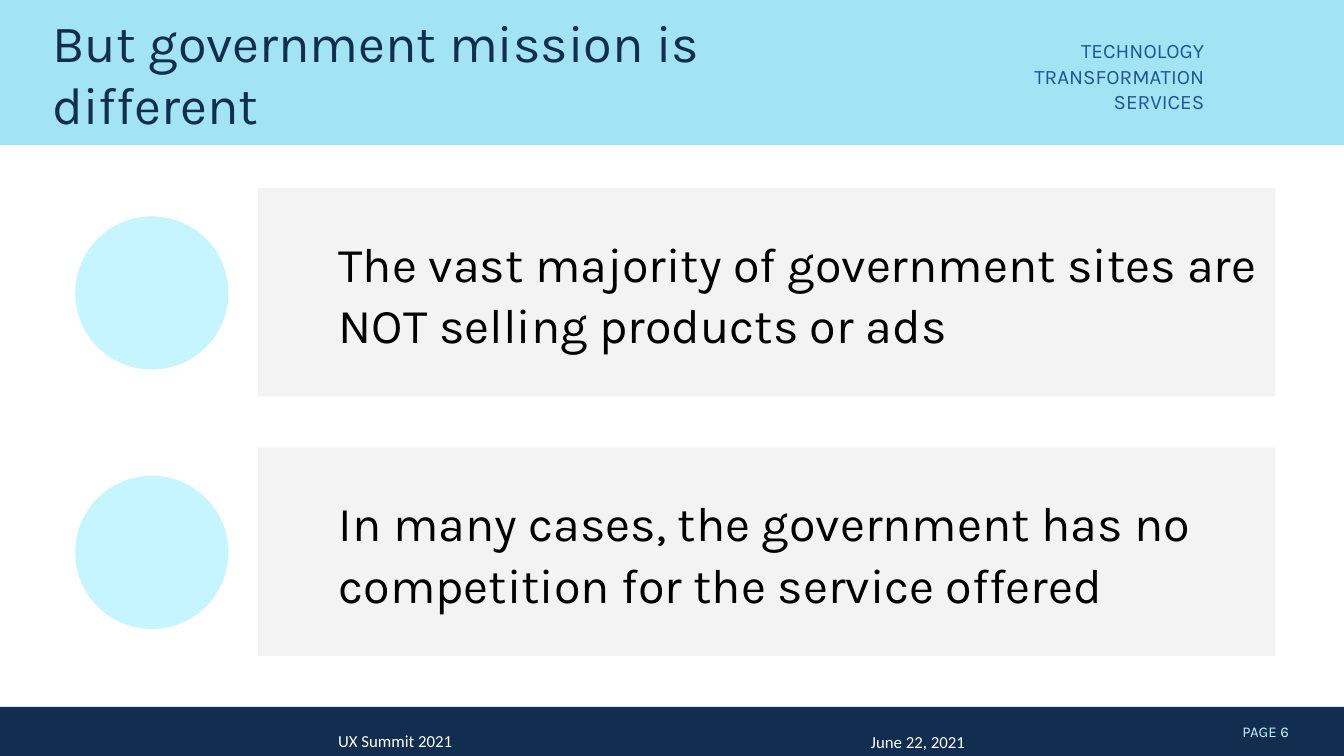
from lxml import etree
from pptx import Presentation
from pptx.dml.color import RGBColor
from pptx.enum.shapes import MSO_SHAPE
from pptx.enum.text import MSO_ANCHOR, MSO_AUTO_SIZE, PP_ALIGN
from pptx.oxml.ns import qn
from pptx.util import Inches, Pt

RECTANGLE, OVAL = MSO_SHAPE.RECTANGLE, MSO_SHAPE.OVAL
LEFT, CENTER, RIGHT = PP_ALIGN.LEFT, PP_ALIGN.CENTER, PP_ALIGN.RIGHT
MIDDLE = MSO_ANCHOR.MIDDLE
NO_AUTOFIT = MSO_AUTO_SIZE.NONE

SKY = RGBColor(0x80, 0xD9, 0xF1)
PALE_BLUE = RGBColor(0xC7, 0xF5, 0xFF)
NAVY = RGBColor(0x11, 0x2E, 0x51)
TITLE_NAVY = RGBColor(0x11, 0x2E, 0x50)
BLUE = RGBColor(0x1F, 0x53, 0x93)
GREY = RGBColor(0xF3, 0xF3, 0xF3)
BLACK = RGBColor(0x00, 0x00, 0x00)
WHITE = RGBColor(0xFF, 0xFF, 0xFF)

deck = Presentation()
deck.slide_width = Inches(10)
deck.slide_height = Inches(10) * 9 // 16
page = deck.slides.add_slide(deck.slide_layouts[3])


def add_filled(kind, left, top, width, height, color):
    shape = page.shapes.add_shape(
        kind, Inches(left), Inches(top), Inches(width), Inches(height))
    shape.shadow.inherit = False
    shape.fill.solid()
    shape.fill.fore_color.rgb = color
    shape.line.fill.background()
    return shape


def write(box, place, text, font, size, color, align, insets):
    box.left, box.top, box.width, box.height = [Inches(value) for value in place]
    frame = box.text_frame
    frame.text = text
    frame.word_wrap = True
    frame.auto_size = NO_AUTOFIT
    frame.vertical_anchor = MIDDLE
    (frame.margin_left, frame.margin_top,
     frame.margin_right, frame.margin_bottom) = [Inches(value) for value in insets]
    para = frame.paragraphs[0]
    para.alignment = align
    para.space_before = Pt(0)
    span = para.runs[0]
    span.font.name = font
    span.font.size = Pt(size)
    span.font.color.rgb = color
    return para


header = add_filled(RECTANGLE, 0, 0, 10, 1.08, SKY)
header_color = header.element.spPr.find(qn("a:solidFill"))[0]
etree.SubElement(header_color, qn("a:alpha")).set("val", "73000")
footer = add_filled(RECTANGLE, 0, 5.26, 10, 0.36, NAVY)
footer.height = deck.slide_height - footer.top

title = page.shapes.title
title.element.getparent().append(title.element)
write(title, (0.29, 0, 6.39, 1.08), "But government mission is different",
      "Karla", 28, TITLE_NAVY, LEFT, (0.1, 0.05, 0.1, 0.05))

statements = [
    "The vast majority of government sites are NOT selling products or ads",
    "In many cases, the government has no competition for the service offered",
]
for index, statement in enumerate(statements):
    top = 1.4 + index * 1.93
    add_filled(OVAL, 0.56, top + 0.21, 1.14, 1.14, PALE_BLUE)
    body = page.placeholders[index + 1]
    body.element.getparent().append(body.element)
    body.fill.solid()
    body.fill.fore_color.rgb = GREY
    para = write(body, (1.92, top, 7.57, 1.55), statement,
                 "Karla", 26, BLACK, LEFT, (0.1, 0.05, 0.1, 0.05))
    para.line_spacing = 1.05
    properties = para._p.get_or_add_pPr()
    properties.set("marL", str(Inches(0.5)))
    properties.set("indent", "0")
    etree.SubElement(properties, qn("a:buNone"))

labels = [
    ((7.38, 0.28, 1.68, 0.51), "TECHNOLOGY TRANSFORMATION SERVICES",
     "Karla", 11, BLUE, RIGHT, (0.1, 0.15, 0.1, 0.1), 1.05),
    ((1.25, 5.41, 3.38, 0.2), "UX Summit 2021",
     "Calibri", 9, WHITE, CENTER, (0.07, 0.04, 0.07, 0.04), 1.0),
    ((6.02, 5.41, 1.23, 0.22), "June 22, 2021",
     "Calibri", 9, WHITE, RIGHT, (0.07, 0.04, 0.07, 0.04), 1.0),
    ((8.86, 5.26, 0.83, 0.37), "PAGE 6",
     "Karla", 8, PALE_BLUE, RIGHT, (0.1, 0.1, 0.1, 0.1), 1.0),
]
for *details, spacing in labels:
    label = page.shapes.add_textbox(0, 0, 0, 0)
    write(label, *details).line_spacing = spacing

deck.save("out.pptx")
